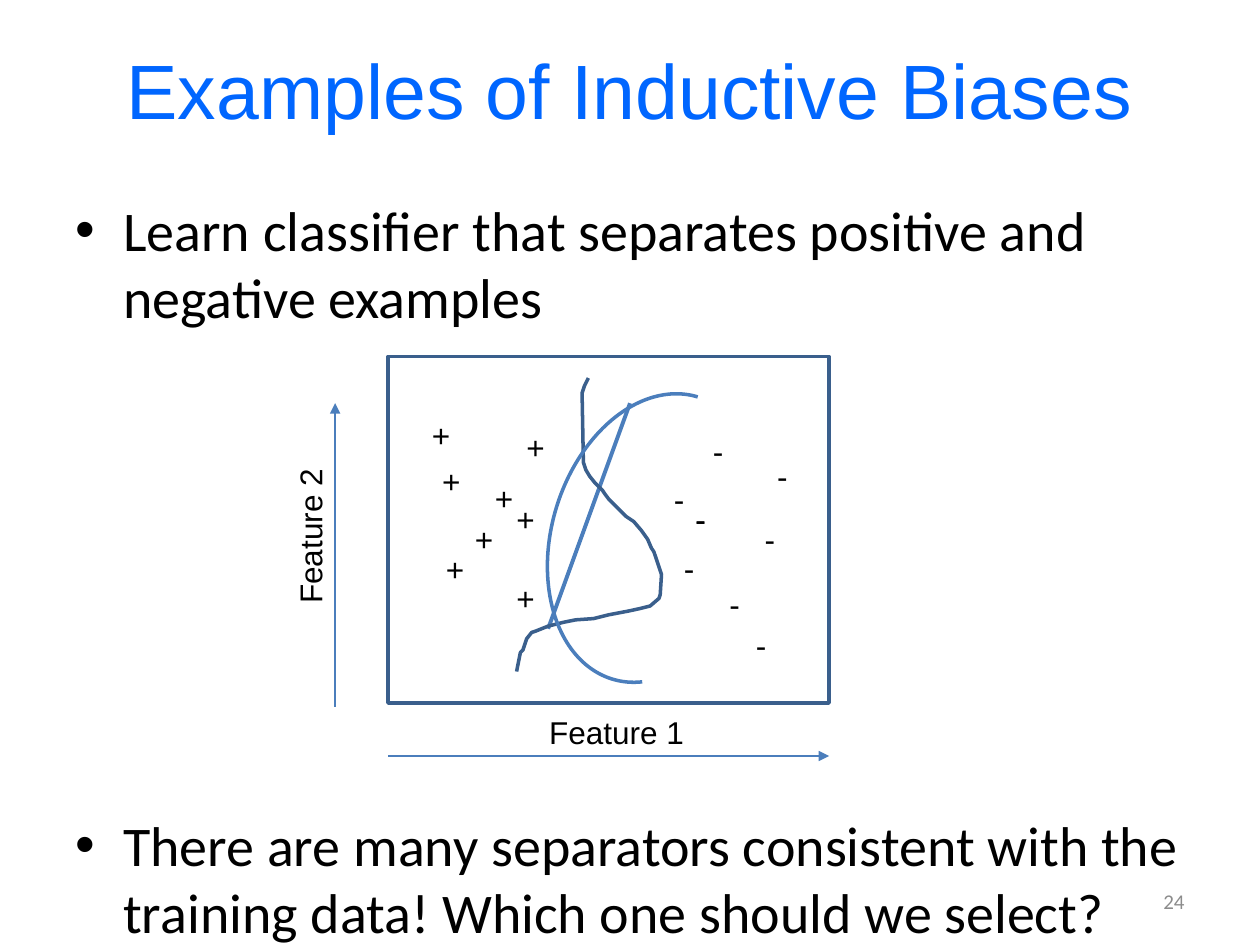
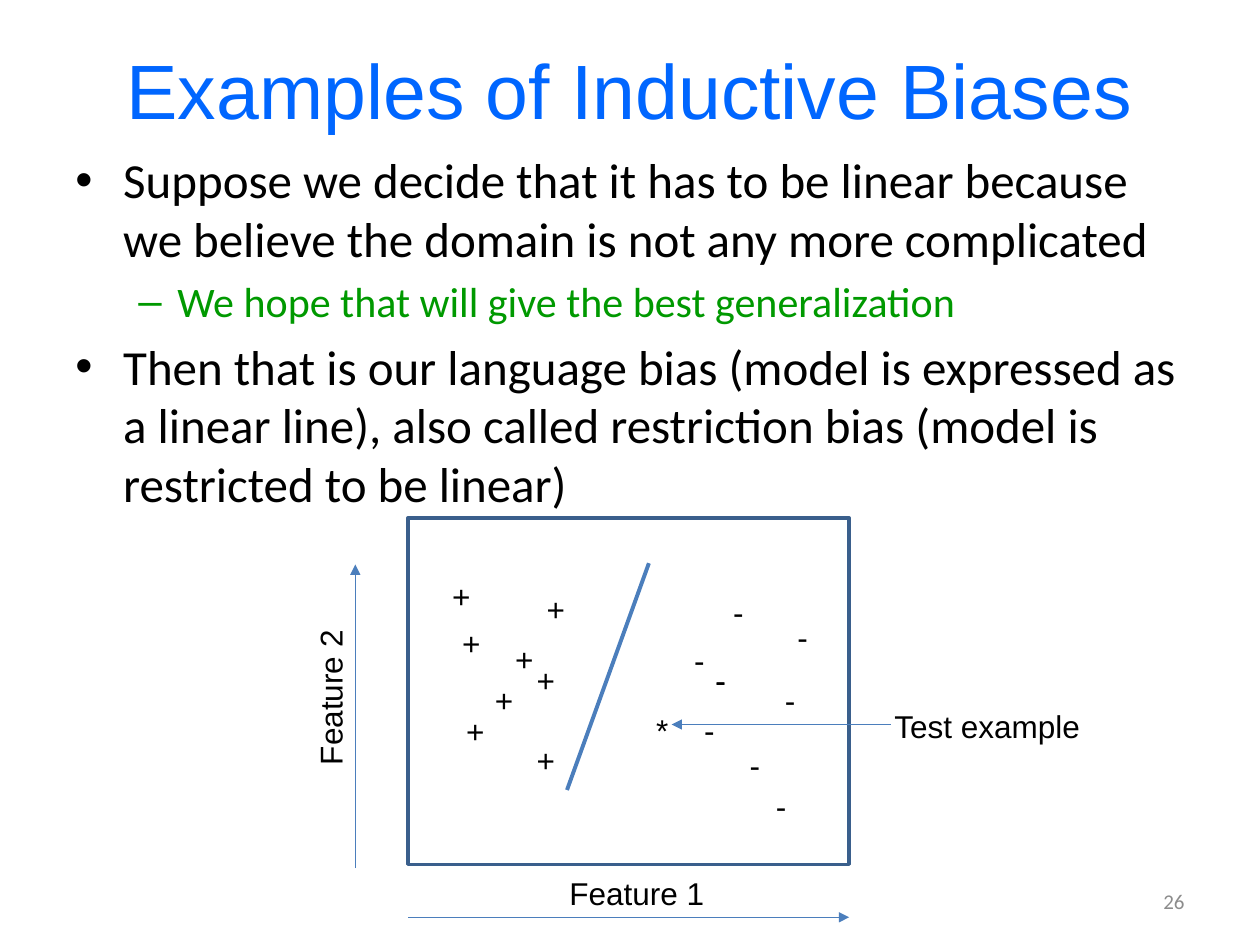
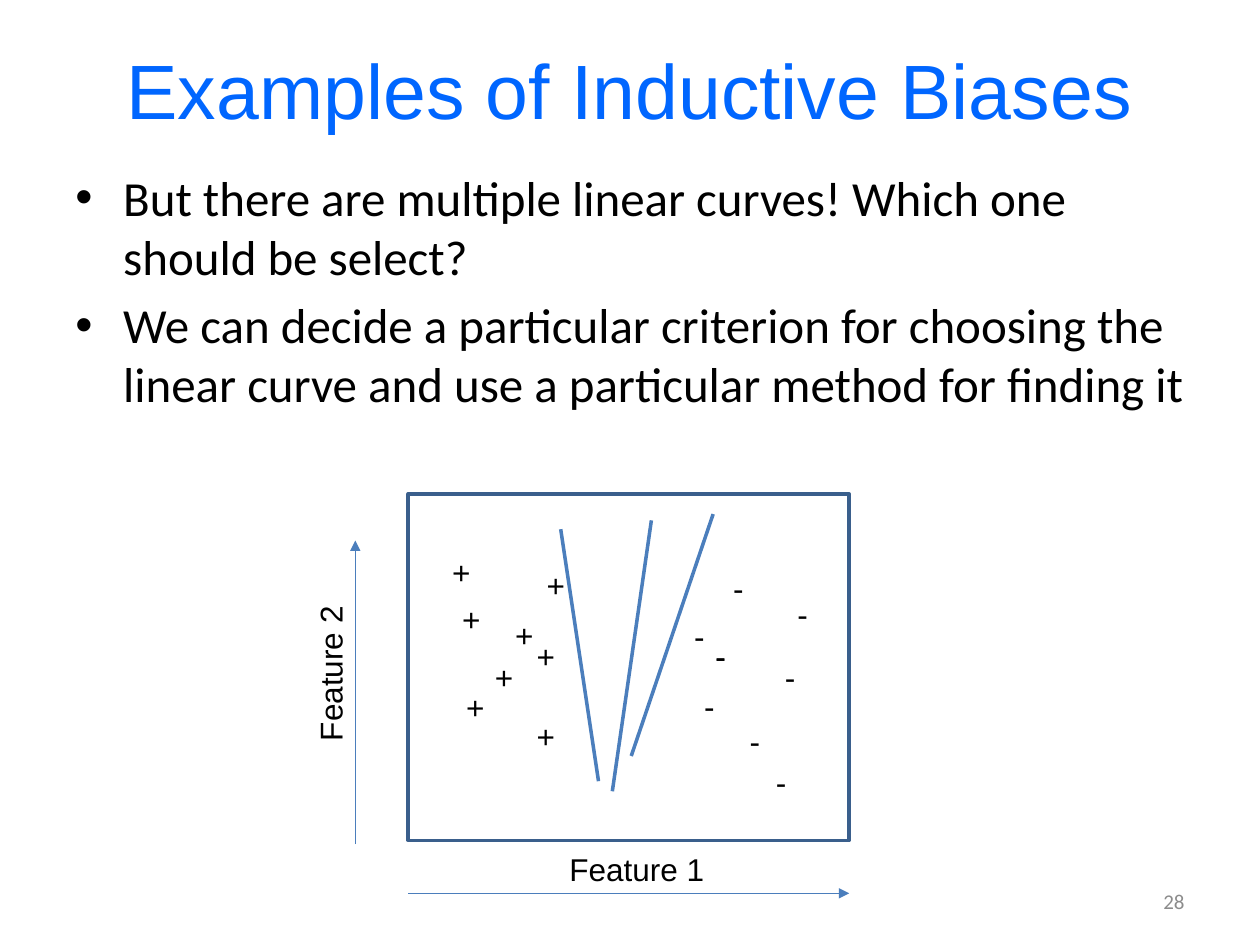
from dataclasses import dataclass

from pptx import Presentation
from pptx.dml.color import RGBColor
from pptx.enum.shapes import MSO_CONNECTOR as Connector, MSO_SHAPE as Preset
from pptx.enum.text import MSO_ANCHOR as Anchor, MSO_AUTO_SIZE as AutoSize, PP_ALIGN as Align
from pptx.oxml.ns import qn
from pptx.util import Pt
from lxml.etree import SubElement

PX = 9144  # EMU in one px, 100 px to the inch

# Shared look
TITLE_BLUE = RGBColor(0x00, 0x66, 0xFF)
BLACK = RGBColor(0x00, 0x00, 0x00)
GREEN = RGBColor(0x00, 0x99, 0x00)
PAGE_GREY = RGBColor(0x8C, 0x8C, 0x8C)
FRAME_BLUE = RGBColor(0x3A, 0x5F, 0x8C)
LINE_BLUE = RGBColor(0x4B, 0x7E, 0xBC)
HEADING_FONT = "Arial"
BODY_FONT = "Calibri"
TITLE = "Examples of Inductive Biases"


@dataclass(frozen=True)
class Bullet:
    text: str
    size: int
    level: int = 0
    color: RGBColor = BLACK


@dataclass(frozen=True)
class Label:
    """A text that sits at an offset from the corner of the plot."""
    text: str
    left: int
    top: int
    width: int
    wraps: bool = False
    rotation: int = 0


@dataclass(frozen=True)
class Segment:
    x1: int
    y1: int
    x2: int
    y2: int
    weight: float = 2
    arrow: bool = False

    def moved(self, dx: int, dy: int) -> "Segment":
        return Segment(self.x1 + dx, self.y1 + dy, self.x2 + dx, self.y2 + dy,
                       self.weight, self.arrow)


@dataclass(frozen=True)
class BulletStyle:
    mark: str
    margin: int
    hanging: int


BULLET_STYLES = [BulletStyle("•", 38, 38), BulletStyle("–", 81, 31)]

# The scatter plot, as offsets from its upper left corner
PLOT_WIDTH, PLOT_HEIGHT = 350, 275
POSITIVES = [(25, 42), (33, 79), (100, 52), (75, 92), (92, 109), (36, 149), (59, 125), (92, 172)]
NEGATIVES = [(217, 93), (248, 55), (225, 148), (261, 176), (289, 125), (282, 209), (299, 75)]
PLOT_LABELS = (
    [Label("+", x, y, 35) for x, y in POSITIVES]
    + [Label("-", x, y, 29) for x, y in NEGATIVES]
    + [Label("-", 234, 109, width, wraps=True) for width in (23, 54)]
    + [Label("Feature 1", 118, 278, 128), Label("Feature 2", -126, 122, 128, rotation=270)]
)
AXES = [Segment(0, 317, PLOT_WIDTH, 317, 0.75, True), Segment(-42, 278, -42, 37, 0.75, True)]

# The winding separator, from top to bottom
WINDING = [
    (467, 300), (464, 306), (462, 312), (463, 367), (465, 373), (468, 378), (472, 383),
    (475, 386), (478, 389), (480, 392), (483, 396), (487, 400), (492, 405), (497, 410),
    (503, 414), (509, 421), (514, 428), (517, 435), (519, 438), (521, 444), (523, 450),
    (525, 456), (524, 472), (523, 475), (516, 481), (508, 483), (499, 485), (483, 488),
    (471, 491), (457, 492), (447, 494), (435, 497), (425, 501), (422, 502), (418, 507),
    (415, 516), (413, 518), (411, 528), (410, 533),
]


def style_text(paragraph, font_name: str, size: int, color: RGBColor) -> None:
    for run in paragraph.runs:
        run.font.name = font_name
        run.font.size = Pt(size)
        run.font.color.rgb = color


def add_box(shapes, left: int, top: int, width: int, height: int):
    return shapes.add_textbox(left * PX, top * PX, width * PX, height * PX)


def add_line_of_text(shapes, text: str, area: tuple[int, int, int, int], align: Align,
                     font_name: str, size: int, color: RGBColor) -> None:
    frame = add_box(shapes, *area).text_frame
    frame.word_wrap = True
    frame.vertical_anchor = Anchor.MIDDLE
    frame.text = text
    frame.paragraphs[0].alignment = align
    style_text(frame.paragraphs[0], font_name, size, color)


def add_bullets(shapes, top: int, height: int, bullets: list[Bullet]) -> None:
    frame = add_box(shapes, 50, top, 900, height).text_frame
    frame.word_wrap = True
    for index, bullet in enumerate(bullets):
        paragraph = frame.add_paragraph() if index else frame.paragraphs[0]
        paragraph.text = bullet.text
        paragraph.level = bullet.level
        style = BULLET_STYLES[bullet.level]
        properties = paragraph._p.get_or_add_pPr()
        properties.set("marL", str(style.margin * PX))
        properties.set("indent", str(-style.hanging * PX))
        SubElement(properties, qn("a:buFont"), typeface=HEADING_FONT)
        SubElement(properties, qn("a:buChar"), char=style.mark)
        if index:
            paragraph.space_before = Pt(round(bullet.size * 0.2, 1))
        style_text(paragraph, BODY_FONT, bullet.size, bullet.color)


def add_label(shapes, label: Label, dx: int = 0, dy: int = 0) -> None:
    box = add_box(shapes, label.left + dx, label.top + dy, label.width, 40)
    box.rotation = label.rotation
    frame = box.text_frame
    frame.word_wrap = label.wraps
    frame.auto_size = AutoSize.SHAPE_TO_FIT_TEXT
    frame.text = label.text
    style_text(frame.paragraphs[0], HEADING_FONT, 18, BLACK)


def add_segment(shapes, segment: Segment) -> None:
    connector = shapes.add_connector(
        Connector.STRAIGHT, segment.x1 * PX, segment.y1 * PX, segment.x2 * PX, segment.y2 * PX)
    connector.line.color.rgb = LINE_BLUE
    connector.line.width = Pt(segment.weight)
    if segment.arrow:
        SubElement(connector.line._get_or_add_ln(), qn("a:tailEnd"), type="triangle")
    SubElement(connector._element.spPr, qn("a:effectLst"))


def outline(shape, color: RGBColor) -> None:
    shape.shadow.inherit = False
    shape.fill.background()
    shape.line.color.rgb = color
    shape.line.width = Pt(2)


def add_plot(slide, left: int, top: int, separators: list[Segment]) -> None:
    plot = slide.shapes.add_group_shape().shapes
    outline(plot.add_shape(Preset.RECTANGLE, left * PX, top * PX,
                           PLOT_WIDTH * PX, PLOT_HEIGHT * PX), FRAME_BLUE)
    for label in PLOT_LABELS:
        add_label(plot, label, left, top)
    for axis in AXES:
        add_segment(plot, axis.moved(left, top))
    for separator in separators:
        add_segment(slide.shapes, separator)


def add_curved_separators(shapes) -> None:
    builder = shapes.build_freeform(*WINDING[0], scale=PX)
    builder.add_line_segments(WINDING[1:], close=False)
    outline(builder.convert_to_shape(), FRAME_BLUE)

    arc = shapes.add_shape(Preset.ARC, 403 * PX, 345 * PX, 234 * PX, 164 * PX)
    arc.adjustments[0] = 101
    arc.adjustments[1] = 0
    arc.rotation = 286.8
    outline(arc, LINE_BLUE)


def add_slide(deck, number: int):
    slide = deck.slides.add_slide(deck.slide_layouts[6])
    add_line_of_text(slide.shapes, TITLE, (50, 8, 900, 125), Align.CENTER,
                     HEADING_FONT, 44, TITLE_BLUE)
    add_line_of_text(slide.shapes, str(number), (717, 695, 233, 40), Align.RIGHT,
                     BODY_FONT, 12, PAGE_GREY)
    return slide


def main() -> None:
    deck = Presentation()
    deck.slide_width, deck.slide_height = 1000 * PX, 750 * PX

    # Many possible separators
    many = add_slide(deck, 24)
    add_bullets(many.shapes, 150, 120, [
        Bullet("Learn classifier that separates positive and negative examples", 32)])
    add_bullets(many.shapes, 638, 112, [
        Bullet("There are many separators consistent with the training data! "
               "Which one should we select?", 32)])
    add_plot(many, 308, 283, [Segment(500, 320, 435, 499, 2.25)])
    add_curved_separators(many.shapes)

    # Language bias
    language = add_slide(deck, 26)
    add_bullets(language.shapes, 114, 567, [
        Bullet("Suppose we decide that it has to be linear because we believe the domain "
               "is not any more complicated", 28),
        Bullet("We hope that will give the best generalization", 24, 1, GREEN),
        Bullet("Then that is our language bias (model is expressed as a linear line), "
               "also called restriction bias (model is restricted to be linear)", 28)])
    add_plot(language, 324, 411, [Segment(515, 447, 450, 627, 2.25)])
    add_label(language.shapes, Label("*", 511, 559, 30))
    add_segment(language.shapes, Segment(707, 575, 533, 575, 0.75, True))
    add_label(language.shapes, Label("Test example", 700, 556, 169))

    # Choosing among linear separators
    choice = add_slide(deck, 28)
    add_bullets(choice.shapes, 128, 567, [
        Bullet("But there are multiple linear curves! Which one should be select?", 28),
        Bullet("We can decide a particular criterion for choosing the linear curve "
               "and use a particular method for finding it", 28)])
    add_plot(choice, 324, 392, [
        Segment(445, 420, 475, 620),
        Segment(566, 408, 501, 600),
        Segment(517, 413, 486, 628)])

    deck.save("out.pptx")


if __name__ == "__main__":
    main()
